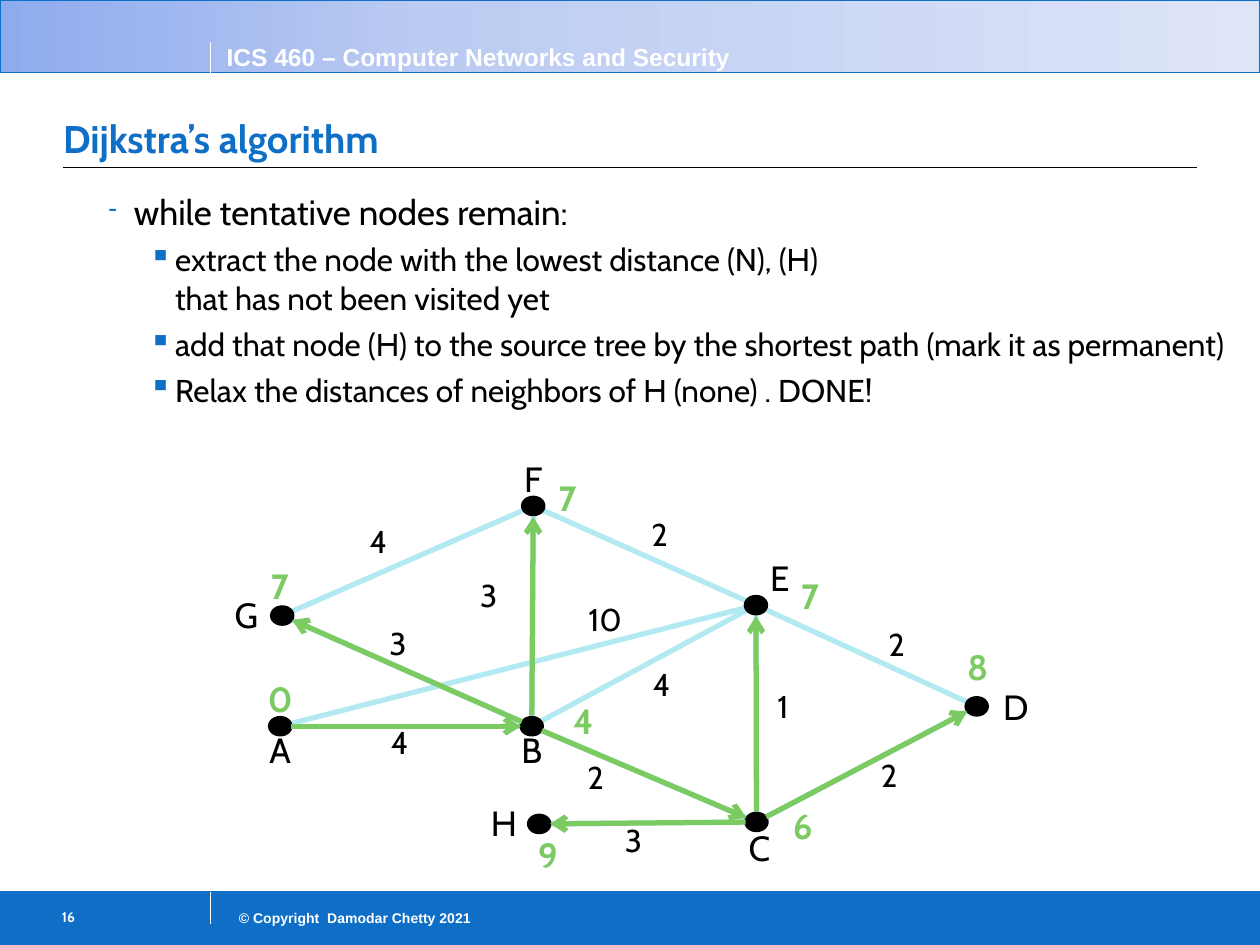
from copy import deepcopy
from dataclasses import dataclass
from math import hypot

from lxml import etree
from pptx import Presentation
from pptx import util as u
from pptx.dml.color import RGBColor
from pptx.enum import shapes, text
from pptx.oxml.ns import qn

LEFT, MID, RIGHT = text.PP_ALIGN.LEFT, text.PP_ALIGN.CENTER, text.PP_ALIGN.RIGHT
TOP, CENTER, BASE = (text.MSO_ANCHOR.TOP, text.MSO_ANCHOR.MIDDLE,
                     text.MSO_ANCHOR.BOTTOM)


@dataclass(frozen=True)
class Theme:
    blue: str = "0F6FC6"
    white: str = "FFFFFF"
    black: str = "000000"
    edge: str = "B3EAF2"
    tree: str = "7CCA62"
    fade: tuple = ((0, "8EABEE"), (0.34, "BBCBF2"), (1, "DEE5F8"))
    body: str = "Cabin"
    frame: str = "Arial"
    title: int = 22
    large: int = 20
    small: int = 18
    head: int = 14
    foot: int = 8


def rgb(code):
    return RGBColor.from_string(code)


def add(parent, tag, **attrs):
    return etree.SubElement(parent, qn(tag), attrs)


def write(frame, words, *, size, color, font, bold=False, align=LEFT,
          anchor=TOP, pad=(0.25, 0.13, 0.25, 0.13), wrap=True):
    """Fill a text frame with one paragraph; pad is left, top, right, bottom."""
    frame.word_wrap = wrap
    frame.vertical_anchor = anchor
    (frame.margin_left, frame.margin_top,
     frame.margin_right, frame.margin_bottom) = map(u.Cm, pad)
    para = frame.paragraphs[0]
    para.text = words
    para.alignment = align
    style(para, size, color, font, bold)


def style(para, size, color, font, bold=False):
    for run in para.runs:
        face = run.font
        face.size, face.name, face.bold = u.Pt(size), font, bold
        face.color.rgb = rgb(color)


class Deck:
    def __init__(self, theme):
        self.theme = theme
        self.file = Presentation()
        self.file.slide_width, self.file.slide_height = u.Cm(25.4), u.Cm(19.05)
        self.slide = self.file.slides.add_slide(self.file.slide_layouts[5])

    def shape(self, kind, box, fill, line, width):
        item = self.slide.shapes.add_shape(kind, *map(u.Cm, box))
        item.shadow.inherit = False
        item.fill.solid()
        item.fill.fore_color.rgb = rgb(fill)
        item.line.color.rgb = rgb(line)
        item.line.width = u.Pt(width)
        return item

    def fade(self, item, stops):
        """Give a shape a left-to-right gradient with any number of stops."""
        item.fill.gradient()
        item.fill.gradient_angle = 0
        marks = item._element.spPr.find(qn("a:gradFill")).find(qn("a:gsLst"))
        while len(marks) < len(stops):
            marks.append(deepcopy(marks[0]))
        for mark, (place, color) in zip(item.fill.gradient_stops, stops):
            mark.position = place
            mark.color.rgb = rgb(color)

    def line(self, start, end, color, width, arrow=False):
        item = self.slide.shapes.add_connector(
            shapes.MSO_CONNECTOR.STRAIGHT, *map(u.Cm, (*start, *end)))
        item.line.color.rgb = rgb(color)
        item.line.width = u.Pt(width)
        props = item._element.spPr
        if arrow:
            add(props.find(qn("a:ln")), "a:tailEnd", type="arrow")
        add(props, "a:effectLst")

    def text(self, words, box, **form):
        item = self.slide.shapes.add_textbox(*map(u.Cm, box))
        write(item.text_frame, words, **form)

    def label(self, words, spot, **form):
        """Centre a short text on a point."""
        x, y = spot
        self.text(words, (x - 0.75, y - 0.55, 1.5, 1.1), align=MID,
                  anchor=CENTER, wrap=False, font=self.theme.body,
                  size=self.theme.large, **form)

    def title(self, words, box):
        item = self.slide.shapes.title
        item.left, item.top, item.width, item.height = map(u.Cm, box)
        write(item.text_frame, words, size=self.theme.title, bold=True,
              color=self.theme.blue, font=self.theme.body, anchor=BASE,
              pad=(0, 0.13, 0, 0.13))

    def bullets(self, items, box):
        t = self.theme
        frame = self.slide.shapes.add_textbox(*map(u.Cm, box)).text_frame
        frame.word_wrap = True
        frame.margin_left = frame.margin_right = u.Cm(0.13)
        looks = {1: (t.large, 1.3, -0.51, "-", 70),
                 2: (t.small, 2.13, -0.53, "▪", 100)}
        for i, (level, words) in enumerate(items):
            size, left, hang, mark, scale = looks[level]
            para = frame.add_paragraph() if i else frame.paragraphs[0]
            para.text, para.level = words, level
            para.line_spacing = 1.04
            para.space_before = u.Pt(size / 5 if i else 0)
            props = para._p.get_or_add_pPr()
            props.set("marL", str(u.Cm(left)))
            props.set("indent", str(u.Cm(hang)))
            add(add(props, "a:buClr"), "a:srgbClr", val=t.blue)
            add(props, "a:buSzPct", val=str(scale * 1000))
            add(props, "a:buChar", char=mark)
            style(para, size, t.black, t.body)


# name: centre, letter offset, distance, distance offset
NODES = {
    "A": ((5.65, 14.64), (0, 0.46), 0, (0, -0.55)),
    "B": ((10.72, 14.64), (0, 0.46), 4, (1.04, -0.11)),
    "C": ((15.25, 16.57), (0.06, 0.51), 6, (0.93, 0.07)),
    "D": ((19.69, 14.24), (0.79, 0), 8, (0.02, -0.8)),
    "E": ((15.24, 12.2), (0.48, -0.56), 7, (1.09, -0.19)),
    "F": ((10.75, 10.2), (0, -0.56), 7, (0.69, -0.17)),
    "G": ((5.69, 12.41), (-0.72, -0.03), 7, (-0.05, -0.6)),
    "H": ((10.87, 16.61), (-0.71, -0.03), 9, (0.18, 0.61)),
}
# ends, weight, left and top of the weight
EDGES = [
    ("AB", 4, 7.75, 14.58), ("BC", 2, 11.71, 15.29), ("CE", 1, 15.54, 13.84),
    ("BE", 4, 13.03, 13.41), ("AE", 10, 11.73, 12.09), ("BF", 3, 9.55, 11.61),
    ("BG", 3, 7.72, 12.57), ("GF", 4, 7.32, 10.52), ("FE", 2, 13, 10.39),
    ("ED", 2, 17.78, 12.6), ("CD", 2, 17.63, 15.24), ("CH", 3, 12.47, 16.56),
]
TREE = ["AB", "BC", "BG", "CE", "BF", "CD", "CH"]
STEPS = [
    (1, "while tentative nodes remain:"),
    (2, "extract the node with the lowest distance (N), (H) \v"
        "that has not been visited yet"),
    (2, "add that node (H) to the source tree by the shortest path "
        "(mark it as permanent)"),
    (2, "Relax the distances of neighbors of H (none) . DONE!"),
]


def shift(spot, step):
    return spot[0] + step[0], spot[1] + step[1]


def trim(start, end, gap=0.22):
    """Shorten a line by the gap at both ends."""
    dx, dy = end[0] - start[0], end[1] - start[1]
    part = gap / hypot(dx, dy)
    step = dx * part, dy * part
    return shift(start, step), shift(end, (-step[0], -step[1]))


def bands(deck):
    t, rect = deck.theme, shapes.MSO_SHAPE.RECTANGLE
    deck.shape(rect, (0, 17.98, 25.4, 1.07), t.blue, t.blue, 0.75)
    head = deck.shape(rect, (0, 0, 25.4, 1.47), t.white, t.blue, 0.75)
    deck.fade(head, t.fade)
    for y in (1.47, 17.98):
        deck.line((0, y), (25.4, y), t.blue, 0.5)
    for low, high in ((1.47, 0.84), (18.62, 17.98)):
        deck.line((4.24, low), (4.24, high), t.white, 0.75)
    deck.line((1.27, 3.38), (24.13, 3.38), t.black, 0.75)
    form = dict(color=t.white, bold=True)
    deck.text("ICS 460 – Computer Networks and Security",
              (4.32, 0.71, 10.92, 0.86), size=t.head, font=t.frame, **form)
    deck.text("© Copyright  Damodar Chetty 2021", (4.24, 18.21, 5.51, 0.61),
              size=t.foot, font=t.frame, align=RIGHT, **form)
    deck.text("16", (0.84, 18.14, 3.38, 0.89), size=t.foot, font=t.body,
              pad=(0.41, 0.18, 0.25, 0.13), **form)


def graph(deck):
    t = deck.theme
    for (a, b), *_ in EDGES:
        deck.line(NODES[a][0], NODES[b][0], t.edge, 3)
    for (x, y), *_ in NODES.values():
        deck.shape(shapes.MSO_SHAPE.OVAL, (x - 0.23, y - 0.19, 0.46, 0.38),
                   t.black, t.black, 1)
    for name, (spot, side, cost, place) in NODES.items():
        deck.label(name, shift(spot, side), color=t.black)
        deck.label(str(cost), shift(spot, place), color=t.tree, bold=True)
    for _, weight, x, y in EDGES:
        deck.text(str(weight), (x, y, 1.2, 0.76), size=t.small, color=t.black,
                  font=t.body, pad=(0.13, 0, 0.13, 0))
    for a, b in TREE:
        deck.line(*trim(NODES[a][0], NODES[b][0]), t.tree, 3, arrow=True)


def main():
    deck = Deck(Theme())
    bands(deck)
    deck.title("Dijkstra’s algorithm", (1.27, 1.55, 22.86, 1.83))
    deck.bullets(STEPS, (1.27, 3.68, 24.13, 13.69))
    graph(deck)
    deck.file.save("out.pptx")


if __name__ == "__main__":
    main()
